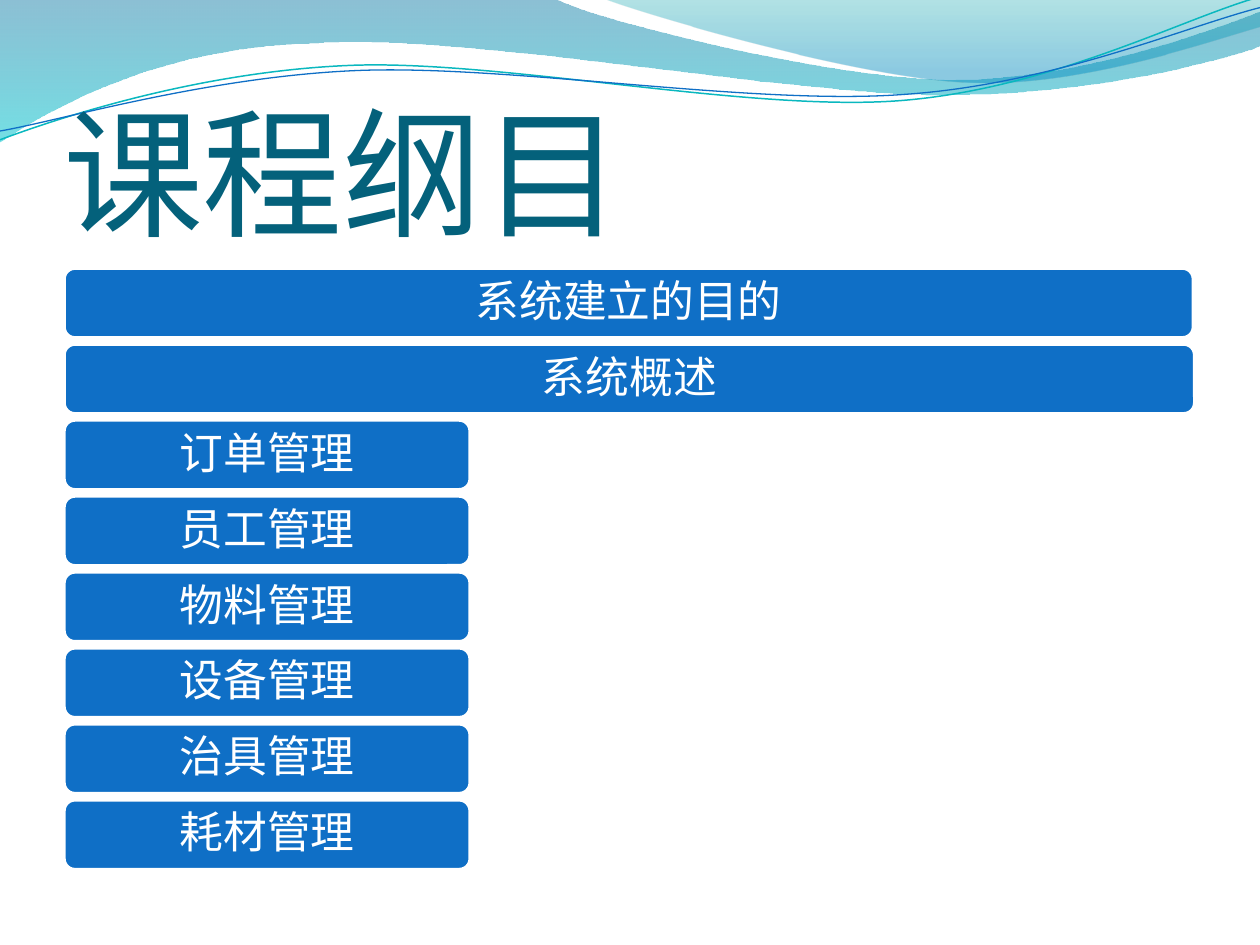
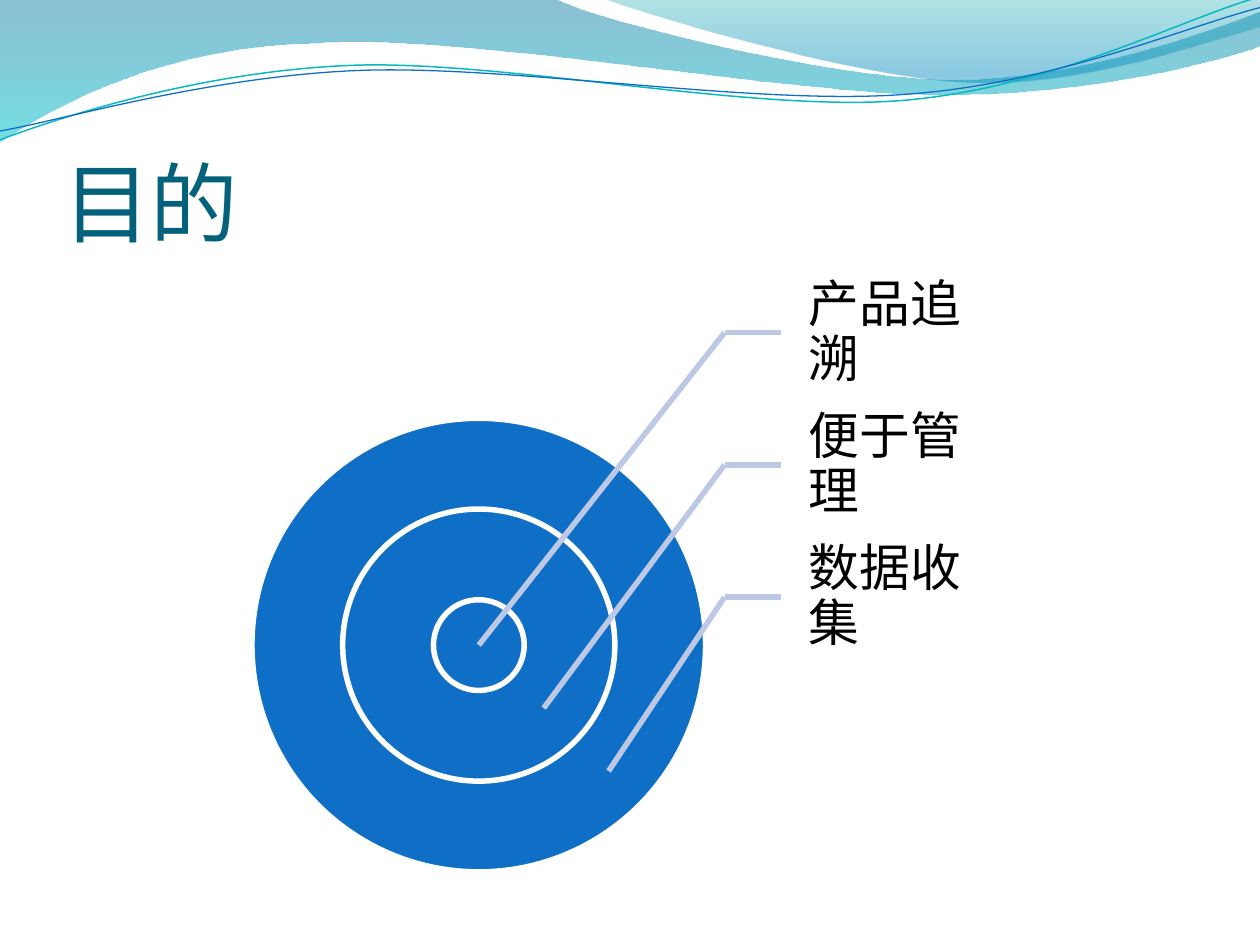
from dataclasses import dataclass
from math import cos, radians, sin

from lxml.etree import SubElement
from pptx import Presentation
from pptx.dml.color import RGBColor
from pptx.enum.shapes import MSO_CONNECTOR, MSO_SHAPE
from pptx.enum.text import MSO_ANCHOR, MSO_AUTO_SIZE, PP_ALIGN
from pptx.oxml.ns import qn
from pptx.util import Inches, Pt

# Content
AGENDA_TITLE = "课程纲目"
AGENDA = [
    ("系统建立的目的", 8.98),
    ("系统概述", 8.99),
    ("订单管理", 3.24),
    ("员工管理", 3.24),
    ("物料管理", 3.24),
    ("设备管理", 3.24),
    ("治具管理", 3.24),
    ("耗材管理", 3.24),
]
PURPOSE_TITLE = "目的"
PURPOSES = ["产品追溯", "便于管理", "数据收集"]

# Header waves: frame, then start point, line ends (x, y) and Bezier triples
BANDS = [
    ((-0.01, -0.01, 10.02, 1.14),
     [(0, 0), (4.4, -0.01), (4.76, 0.17, 6.64, 0.63, 7.58, 0.63),
      (8.53, 0.63, 9.58, 0.26, 10, 0.09), (10.01, 0.36),
      (9.83, 0.44, 8.7, 0.76, 7.46, 0.75), (6.22, 0.75, 3.82, 0.28, 2.57, 0.34),
      (1.29, 0.36, 0.46, 0.83, -0.01, 1.13), (0, 0)],
     [(0, "0074A1", 45), (1, "00C6CF", 55)]),
    ((4.79, -0.01, 5.21, 0.7),
     [(4.79, -0.01), (5.09, 0.11, 6.82, 0.62, 7.69, 0.65),
      (8.56, 0.69, 9.61, 0.32, 10, 0.21), (10, 0), (4.79, -0.01)],
     [(0, "00A1A9", 30), (0.8, "008BBF", 45)]),
]
STRAND_TILT = -2.7
STRANDS = [
    ((-0.02, 0.22, 10.02, 0.71),
     [(0, 1.11), (0.48, 0.93, 1.58, 0.57, 2.77, 0.52),
      (3.95, 0.47, 5.93, 0.89, 7.13, 0.8), (8.33, 0.71, 9.38, 0.15, 9.98, -0.02)],
     "0AB8BF", 0.85),
    ((-0.02, 0.3, 10.03, 0.58),
     [(0, 1.04), (0.47, 0.96, 1.64, 0.61, 2.83, 0.56),
      (4.03, 0.51, 5.97, 0.84, 7.17, 0.75), (8.36, 0.67, 9.41, 0.21, 10, 0.06)],
     "0F6FC6", 0.75),
]


@dataclass(frozen=True)
class Theme:
    title: str = "04617B"
    block: str = "0F6FC6"
    white: str = "FFFFFF"
    leader: str = "BDC8E5"
    label: str = "000000"
    title_font: str = "Calibri"
    body_font: str = "TeX Gyre Pagella"
    agenda_title_size: int = 80
    purpose_title_size: int = 50
    agenda_size: int = 25
    label_size: int = 29
    stroke: float = 3.15


THEME = Theme()


def rgb(color):
    return RGBColor.from_string(color)


# Shared styling
def place(shape, frame):
    shape.left, shape.top, shape.width, shape.height = map(Inches, frame)


def set_line(line, color, width=THEME.stroke):
    line.color.rgb = rgb(color)
    line.width = Pt(width)


def write(shape, text, font, size, color, align, anchor, margins):
    frame = shape.text_frame
    frame.text = text
    frame.word_wrap = True
    frame.auto_size = MSO_AUTO_SIZE.NONE
    frame.vertical_anchor = anchor
    (frame.margin_left, frame.margin_top,
     frame.margin_right, frame.margin_bottom) = map(Inches, margins)
    paragraph = frame.paragraphs[0]
    paragraph.alignment = align
    run_font = paragraph.runs[0].font
    run_font.name = font
    run_font.size = Pt(size)
    run_font.color.rgb = rgb(color)
    return paragraph


def write_body(shape, text, size, color, align, margins):
    paragraph = write(shape, text, THEME.body_font, size, color, align,
                      MSO_ANCHOR.MIDDLE, margins)
    paragraph.line_spacing = 0.9


def add_block(slide, preset, left, top, width, height):
    block = slide.shapes.add_shape(preset, *map(Inches, (left, top, width, height)))
    block.shadow.inherit = False
    block.fill.solid()
    block.fill.fore_color.rgb = rgb(THEME.block)
    set_line(block.line, THEME.white)
    return block


def add_leader(slide, start, end):
    leader = slide.shapes.add_connector(MSO_CONNECTOR.STRAIGHT,
                                        *map(Inches, (*start, *end)))
    set_line(leader.line, THEME.leader)
    SubElement(leader.element.spPr, qn("a:effectLst"))


def add_titled_slide(deck, title, size):
    slide = deck.slides.add_slide(deck.slide_layouts[5])
    heading = slide.shapes.title
    place(heading, (0.5, 0.77, 9, 1.25))
    write(heading, title, THEME.title_font, size, THEME.title,
          PP_ALIGN.LEFT, MSO_ANCHOR.BOTTOM, (0, 0.05, 0, 0))
    return slide


# Header waves
def to_frame(x, y, frame, tilt):
    """Undo the tilt about the frame's centre and measure from its corner."""
    left, top, width, height = frame
    dx, dy = x - left - width / 2, y - top - height / 2
    turn = radians(-tilt)
    return (Inches(width / 2 + dx * cos(turn) - dy * sin(turn)),
            Inches(height / 2 + dx * sin(turn) + dy * cos(turn)))


def add_wave(slide, frame, segments, tilt=0, closed=False):
    ends = [tuple(map(Inches, segment[-2:])) for segment in segments]
    builder = slide.shapes.build_freeform(*ends[0])
    builder.add_line_segments(ends[1:], close=closed)
    wave = builder.convert_to_shape()
    wave.shadow.inherit = False
    place(wave, frame)
    wave.rotation = tilt

    # Swap the straight segments for Bezier curves
    outline = next(wave.element.iter(qn("a:path")))
    outline.set("w", str(wave.width))
    outline.set("h", str(wave.height))
    for command, segment in zip(list(outline), segments):
        if len(segment) == 6:
            command.tag = qn("a:cubicBezTo")
        for point in list(command):
            command.remove(point)
        for x, y in zip(segment[::2], segment[1::2]):
            local_x, local_y = to_frame(x, y, frame, tilt)
            SubElement(command, qn("a:pt"), x=str(local_x), y=str(local_y))
    return wave


def add_header(slide):
    """Draw the waves and hand them to the layout that all slides share."""
    waves = []
    for frame, segments, stops in BANDS:
        band = add_wave(slide, frame, segments, closed=True)
        band.line.fill.background()
        band.fill.gradient()
        band.fill.gradient_angle = 270
        for stop, (position, color, _) in zip(band.fill.gradient_stops, stops):
            stop.position = position
            stop.color.rgb = rgb(color)
        for tint, (_, _, opacity) in zip(band.element.iter(qn("a:srgbClr")), stops):
            SubElement(tint, qn("a:alpha"), val=str(opacity * 1000))
        waves.append(band)
    for frame, segments, color, width in STRANDS:
        strand = add_wave(slide, frame, segments, tilt=STRAND_TILT)
        strand.fill.background()
        set_line(strand.line, color, width)
        waves.append(strand)
    layout_tree = slide.slide_layout.shapes.element
    for depth, wave in enumerate(waves, start=2):
        layout_tree.insert(depth, wave.element)


# Slide 1: agenda bars
def build_agenda(deck):
    slide = add_titled_slide(deck, AGENDA_TITLE, THEME.agenda_title_size)
    add_header(slide)
    first_top, last_top = 2.12, 6.34
    pitch = (last_top - first_top) / (len(AGENDA) - 1)
    for row, (topic, width) in enumerate(AGENDA):
        bar = add_block(slide, MSO_SHAPE.ROUNDED_RECTANGLE,
                        0.5, first_top + row * pitch, width, 0.57)
        write_body(bar, topic, THEME.agenda_size, THEME.white,
                   PP_ALIGN.CENTER, (0.1, 0.05, 0.1, 0.05))


# Slide 2: target with labelled rings
def build_purpose(deck):
    slide = add_titled_slide(deck, PURPOSE_TITLE, THEME.purpose_title_size)
    center_x, center_y = 3.8, 5.12
    for diameter in (3.6, 2.16, 0.72):
        add_block(slide, MSO_SHAPE.OVAL, center_x - diameter / 2,
                  center_y - diameter / 2, diameter, diameter)

    label_left, label_height, elbow_x = 6.2, 1.05, 5.75
    for ring, purpose in enumerate(PURPOSES):
        top = 2.12 + ring * label_height
        label = slide.shapes.add_textbox(
            *map(Inches, (label_left, top, 1.8, label_height)))
        write_body(label, purpose, THEME.label_size, THEME.label,
                   PP_ALIGN.LEFT, (0.22, 0.04, 0.04, 0.04))
        elbow = (elbow_x, top + 0.52)
        add_leader(slide, elbow, (label_left, elbow[1]))
        add_leader(slide, elbow, (center_x + ring * 1.03 / 2, center_y + ring / 2))


def main():
    deck = Presentation()
    deck.slide_width, deck.slide_height = Inches(10), Inches(7.5)
    build_agenda(deck)
    build_purpose(deck)
    deck.save("out.pptx")


if __name__ == "__main__":
    main()
